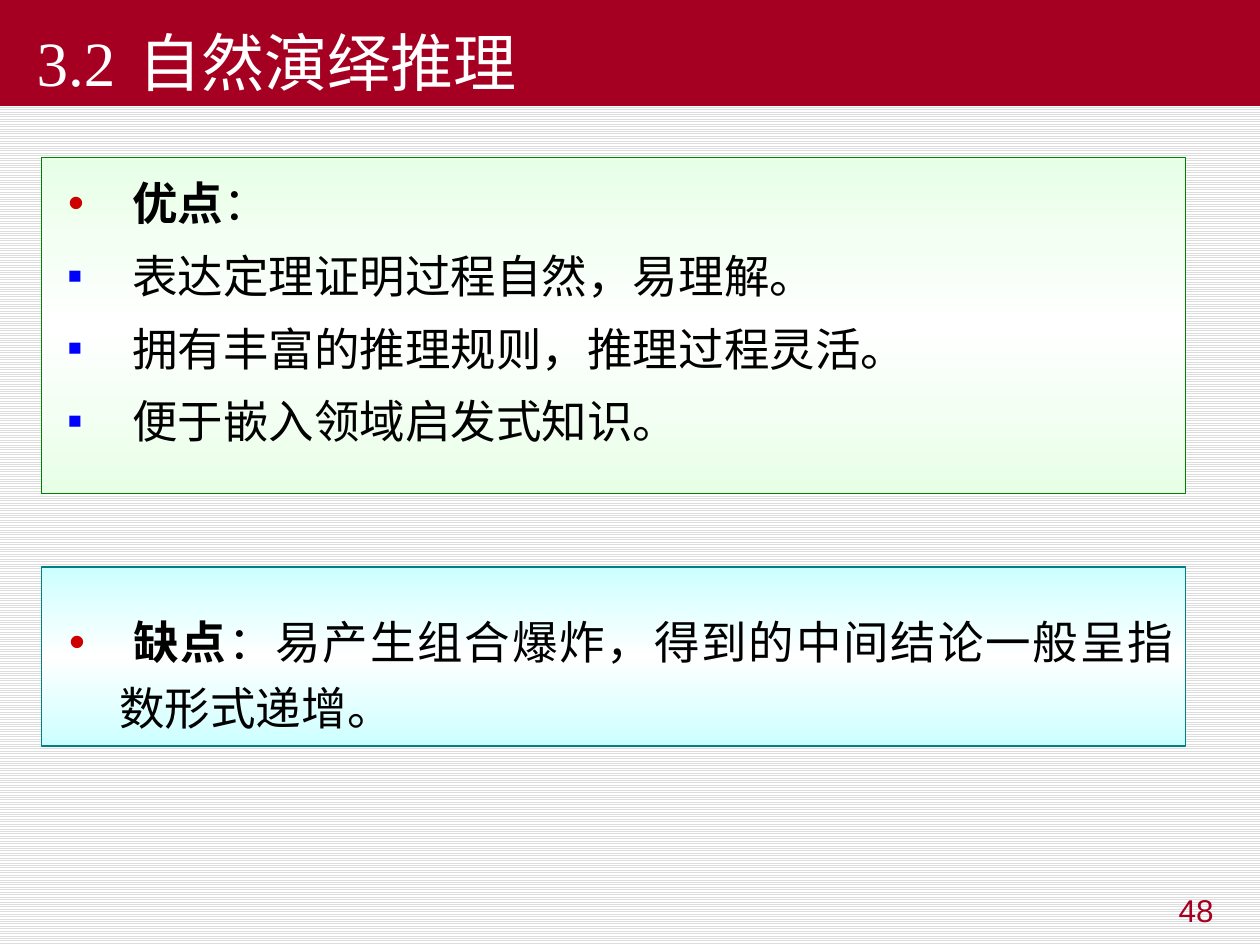
from copy import deepcopy

from lxml import etree
from pptx import Presentation
from pptx import util as u
from pptx.dml.color import RGBColor
from pptx.enum import dml, shapes, text
from pptx.oxml.ns import qn

TITLE = "3.2\t自然演绎推理"
PAGE_NUMBER = "48"
DOT = {"char": "•", "color": "CC0000", "size": 100}
SQUARE = {"char": "■", "color": "0000FF", "size": 50}
ADVANTAGES = [
    (DOT, [("优点", True), ("：", False)]),
    (SQUARE, [("表达定理证明过程自然，易理解。", False)]),
    (SQUARE, [("拥有丰富的推理规则，推理过程灵活。", False)]),
    (SQUARE, [("便于嵌入领域启发式知识。", False)]),
]
DRAWBACKS = [
    (DOT, [(" 缺点", True), ("：易产生组合爆炸，得到的中间结论一般呈指数形式递增。", False)]),
]
PANEL_LEFT, PANEL_WIDTH = 23.76, 653.76


def rgb(value):
    return RGBColor.from_string(value)


def place(shape, left, top, width, height):
    shape.left, shape.top = u.Pt(left), u.Pt(top)
    shape.width, shape.height = u.Pt(width), u.Pt(height)


def add_run(paragraph, words, size, font, color, bold=False):
    run = paragraph.add_run()
    run.text = words
    run.font.size = u.Pt(size)
    run.font.name = font
    run.font.bold = bold
    run.font.color.rgb = rgb(color)


def set_indent(paragraph, left, first_line):
    properties = paragraph._p.get_or_add_pPr()
    properties.set("marL", str(u.Pt(left)))
    properties.set("indent", str(u.Pt(first_line)))
    return properties


def add_bullet(properties, bullet):
    color = etree.SubElement(properties, qn("a:buClr"))
    etree.SubElement(color, qn("a:srgbClr"), val=bullet["color"])
    etree.SubElement(properties, qn("a:buSzPct"), val=str(bullet["size"] * 1000))
    etree.SubElement(properties, qn("a:buFont"), typeface="Arial")
    etree.SubElement(properties, qn("a:buChar"), char=bullet["char"])


def fill_list(frame, items, indent, alignment, line_spacing):
    frame.word_wrap = True
    frame.auto_size = text.MSO_AUTO_SIZE.NONE
    for index, (bullet, runs) in enumerate(items):
        paragraph = frame.add_paragraph() if index else frame.paragraphs[0]
        add_bullet(set_indent(paragraph, indent, -indent), bullet)
        paragraph.alignment = alignment
        paragraph.line_spacing = line_spacing
        paragraph.space_before = u.Pt(10.4 if index else 0)
        for words, bold in runs:
            add_run(paragraph, words, 26, "Arial", "000000", bold)


def add_panel(parent, top, height, edge, line):
    panel = parent.add_shape(shapes.MSO_SHAPE.RECTANGLE, 0, 0, 0, 0)
    place(panel, PANEL_LEFT, top, PANEL_WIDTH, height)
    panel.shadow.inherit = False
    panel.fill.gradient()
    panel.fill.gradient_angle = 90
    stop_list = panel.element.find(".//" + qn("a:gsLst"))
    stop_list.append(deepcopy(stop_list[0]))
    for stop, position, color in zip(panel.fill.gradient_stops, (0, 0.5, 1), (edge, "FFFFFF", edge)):
        stop.position = position
        stop.color.rgb = rgb(color)
    panel.line.color.rgb = rgb(line)
    panel.line.width = u.Pt(0.75)
    return panel


def add_title(slide):
    title = slide.shapes.title
    place(title, 0, 0, 720, 60.48)
    title.fill.solid()
    title.fill.fore_color.rgb = rgb("A50021")
    frame = title.text_frame
    frame.auto_size = text.MSO_AUTO_SIZE.NONE
    frame.vertical_anchor = text.MSO_ANCHOR.BOTTOM
    paragraph = frame.paragraphs[0]
    tabs = etree.SubElement(set_indent(paragraph, 0, 13.68), qn("a:tabLst"))
    etree.SubElement(tabs, qn("a:tab"), pos=str(u.Pt(84)), algn="l")
    paragraph.alignment = text.PP_ALIGN.LEFT
    add_run(paragraph, TITLE, 36, "Times New Roman", "FFFFFF")


def add_page_number(slide):
    box = slide.shapes.add_textbox(u.Pt(532.8), u.Pt(505.44), u.Pt(167.76), u.Pt(37.44))
    box.text_frame.word_wrap = True
    paragraph = box.text_frame.paragraphs[0]
    paragraph.alignment = text.PP_ALIGN.RIGHT
    add_run(paragraph, PAGE_NUMBER, 18, "Arial", "A50021")


def main():
    presentation = Presentation()
    presentation.slide_width, presentation.slide_height = u.Pt(720), u.Pt(540)
    slide = presentation.slides.add_slide(presentation.slide_layouts[1])
    background = slide.background.fill
    background.patterned()
    background.pattern = dml.MSO_PATTERN.LIGHT_HORIZONTAL
    background.fore_color.rgb = rgb("DDDDDD")
    background.back_color.rgb = rgb("FFFFFF")

    add_title(slide)
    add_page_number(slide)

    panel = add_panel(slide.shapes, 90, 192.24, "E7FFE7", "008000")
    body = slide.placeholders[1]
    panel.element.addnext(body.element)
    place(body, 31.68, 96.48, 640.08, 167.04)
    fill_list(body.text_frame, ADVANTAGES, 36.72, text.PP_ALIGN.LEFT, 1.0)

    group = slide.shapes.add_group_shape()
    add_panel(group.shapes, 324, 102.24, "CCFFFF", "008080")
    box = group.shapes.add_textbox(u.Pt(32.4), u.Pt(341.28), u.Pt(645.84), u.Pt(82.08))
    fill_list(box.text_frame, DRAWBACKS, 28.8, text.PP_ALIGN.JUSTIFY, 1.2)

    presentation.save("out.pptx")


if __name__ == "__main__":
    main()
